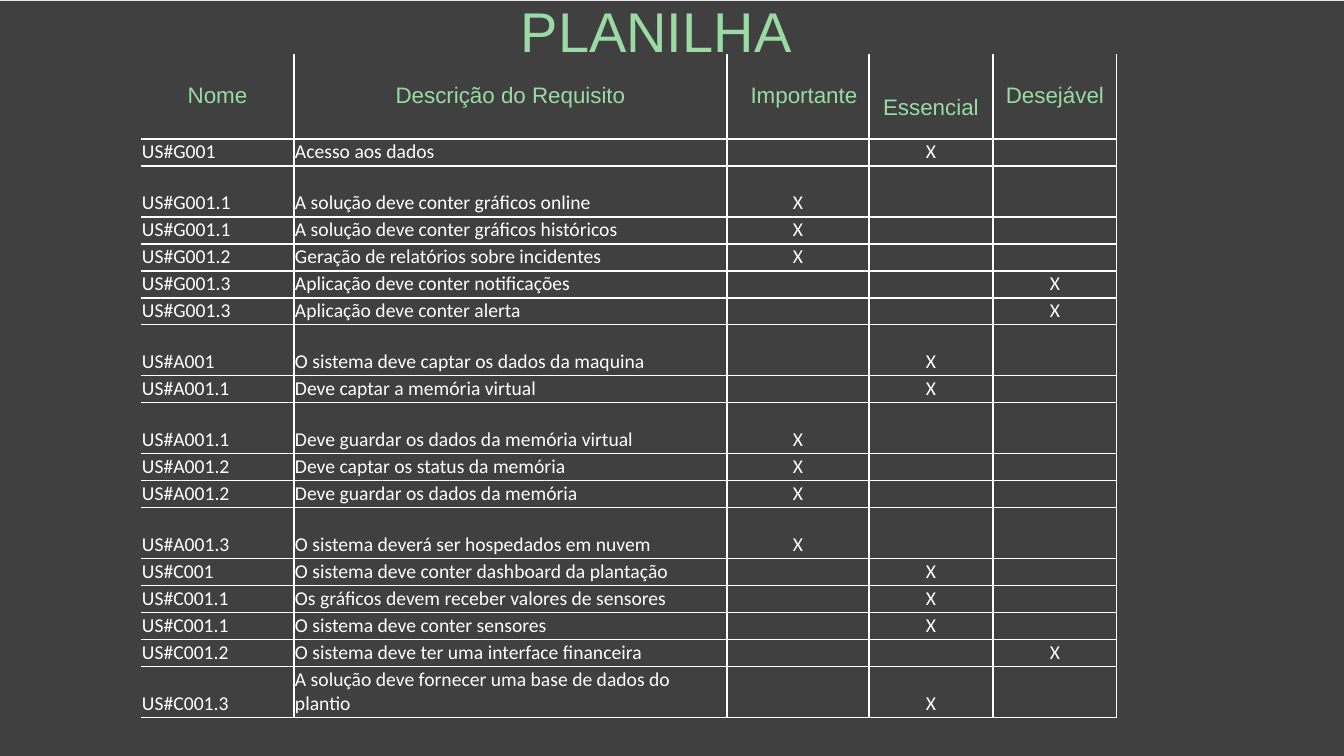
from lxml import etree
from pptx import Presentation
from pptx import util as u
from pptx.dml.color import RGBColor
from pptx.enum import shapes, text
from pptx.oxml.ns import qn

PX = 914400 / 100.8
DARK = RGBColor(0x40, 0x40, 0x40)
GREEN = RGBColor(0x9A, 0xDB, 0xA4)
WHITE = RGBColor(0xFF, 0xFF, 0xFF)

COLUMN_WIDTHS = [153, 433, 142, 124, 124]
HEADER_HEIGHT, SINGLE, DOUBLE = 85, 27, 51
HEADERS = ["Nome", "Descrição do Requisito", "Importante", "Essencial", "Desejável"]
IMPORTANT, ESSENTIAL, DESIRABLE = 2, 3, 4
REQUIREMENTS = [
    ("US#G001", "Acesso aos dados", ESSENTIAL, SINGLE),
    ("US#G001.1", "A solução deve conter gráficos online", IMPORTANT, DOUBLE),
    ("US#G001.1", "A solução deve conter gráficos históricos", IMPORTANT, SINGLE),
    ("US#G001.2", "Geração de relatórios sobre incidentes", IMPORTANT, SINGLE),
    ("US#G001.3", "Aplicação deve conter notificações", DESIRABLE, SINGLE),
    ("US#G001.3", "Aplicação deve conter alerta", DESIRABLE, SINGLE),
    ("US#A001", "O sistema deve captar os dados da maquina", ESSENTIAL, DOUBLE),
    ("US#A001.1", "Deve captar a memória virtual", ESSENTIAL, SINGLE),
    ("US#A001.1", "Deve guardar os dados da memória virtual", IMPORTANT, DOUBLE),
    ("US#A001.2", "Deve captar os status da memória", IMPORTANT, SINGLE),
    ("US#A001.2", "Deve guardar os dados da memória", IMPORTANT, SINGLE),
    ("US#A001.3", "O sistema deverá ser hospedados em nuvem", IMPORTANT, DOUBLE),
    ("US#C001", "O sistema deve conter dashboard da plantação", ESSENTIAL, SINGLE),
    ("US#C001.1", "Os gráficos devem receber valores de sensores", ESSENTIAL, SINGLE),
    ("US#C001.1", "O sistema deve conter sensores", ESSENTIAL, SINGLE),
    ("US#C001.2", "O sistema deve ter uma interface financeira", DESIRABLE, SINGLE),
    ("US#C001.3", "A solução deve fornecer uma base de dados do plantio", ESSENTIAL, DOUBLE),
]


def px(*lengths):
    return [u.Emu(round(length * PX)) for length in lengths]


def add_run(paragraph, words, size, font, color):
    run = paragraph.add_run()
    run.text = words
    run.font.size = u.Pt(size)
    run.font.name = font
    run.font.color.rgb = color


deck = Presentation()
deck.slide_width, deck.slide_height = px(1344, 756)
slide = deck.slides.add_slide(deck.slide_layouts[6])

# Dark backdrop
backdrop = slide.shapes.add_shape(shapes.MSO_SHAPE.RECTANGLE, *px(0, 1, 1344, 755))
backdrop.shadow.inherit = False
backdrop.fill.solid()
backdrop.fill.fore_color.rgb = DARK
backdrop.line.fill.background()

# Requirements table
heights = [HEADER_HEIGHT] + [height for *_, height in REQUIREMENTS]
planilha = slide.shapes.add_table(
    len(heights), len(COLUMN_WIDTHS), *px(141, 54, sum(COLUMN_WIDTHS), sum(heights))
).table
planilha.first_row = False
planilha.horz_banding = False
for column, width in zip(planilha.columns, px(*COLUMN_WIDTHS)):
    column.width = width
for row, height in zip(planilha.rows, px(*heights)):
    row.height = height

contents = [HEADERS]
for code, description, priority, _ in REQUIREMENTS:
    marks = ["X" if col == priority else "" for col in (IMPORTANT, ESSENTIAL, DESIRABLE)]
    contents.append([code, description, *marks])

for r, words_in_row in enumerate(contents):
    for c, words in enumerate(words_in_row):
        cell = planilha.cell(r, c)
        is_header = r == 0
        # "Importante" sits a little right of centre, "Essencial" a little low
        left = 13 if is_header and c == IMPORTANT else 1
        top = 25 if is_header and c == ESSENTIAL else 1
        cell.margin_left, cell.margin_top, cell.margin_right, cell.margin_bottom = px(left, top, 1, 2)
        cell.vertical_anchor = text.MSO_ANCHOR.MIDDLE if is_header else text.MSO_ANCHOR.BOTTOM

        paragraph = cell.text_frame.paragraphs[0]
        if is_header or c >= IMPORTANT:
            paragraph.alignment = text.PP_ALIGN.CENTER
        if is_header:
            add_run(paragraph, words, 16, "Arial", GREEN)
        elif words:
            add_run(paragraph, words, 14, "Calibri", WHITE)
        else:
            etree.SubElement(paragraph._p, qn("a:endParaRPr"), sz="1400")

        # White grid, open at the left and the top
        borders = {"a:lnL": c > 0, "a:lnR": True, "a:lnT": r > 0, "a:lnB": True}
        for tag, visible in borders.items():
            line = etree.SubElement(cell._tc.get_or_add_tcPr(), qn(tag), w=str(u.Pt(1)))
            if visible:
                paint = etree.SubElement(line, qn("a:solidFill"))
                etree.SubElement(paint, qn("a:srgbClr"), val=str(WHITE))
            else:
                etree.SubElement(line, qn("a:noFill"))
        cell.fill.background()

# Title
title = slide.shapes.add_textbox(*px(511, -8, 528, 78)).text_frame
title.word_wrap = True
title.auto_size = text.MSO_AUTO_SIZE.SHAPE_TO_FIT_TEXT
add_run(title.paragraphs[0], "PLANILHA", 40, "Arial", GREEN)

deck.save("out.pptx")
